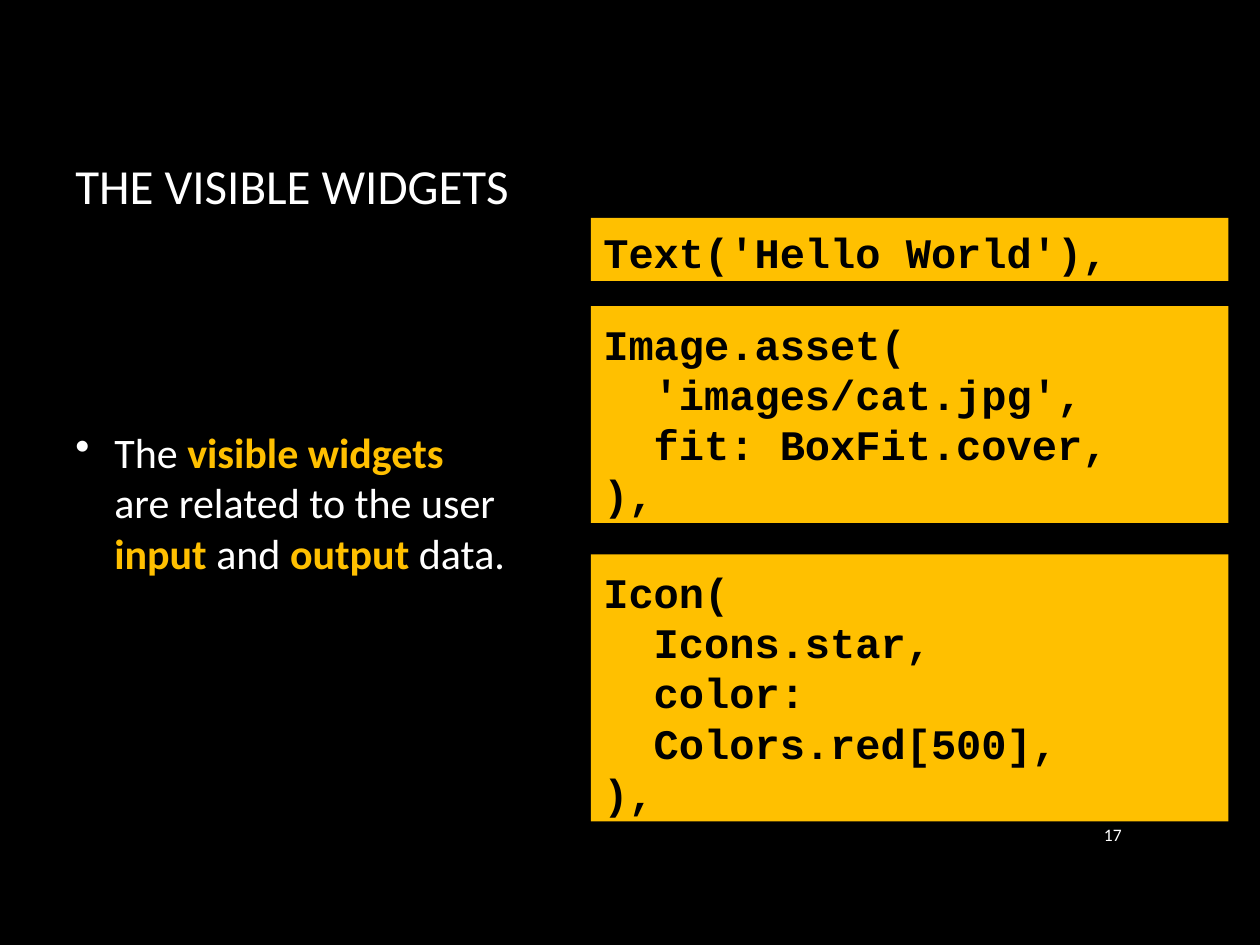
from lxml import etree
from pptx import Presentation
from pptx.dml.color import RGBColor
from pptx.enum import shapes, text
from pptx.oxml import ns
from pptx.util import Inches, Pt

BLACK = RGBColor(0x00, 0x00, 0x00)
WHITE = RGBColor(0xFF, 0xFF, 0xFF)
AMBER = RGBColor(0xFF, 0xC0, 0x00)

CODE_LEFT, CODE_WIDTH = 4.69, 5.06
SNIPPETS = [
    (1.73, 0.5, ["Text('Hello World'),"]),
    (2.43, 1.72, ["Image.asset(", "  'images/cat.jpg',",
                  "  fit: BoxFit.cover,", "),"]),
    (4.4, 2.12, ["Icon(", "  Icons.star,", "  color:",
                 "  Colors.red[500],", "),"]),
]


class SlideBuilder:
    """Holds the slide and the style its elements share."""
    body_font = "Calibri"
    code_font = "Courier New"
    body_size = 24

    def __init__(self, slide):
        self.slide = slide
        slide.background.fill.solid()
        slide.background.fill.fore_color.rgb = BLACK

    def style(self, font, size, color, name=body_font):
        font.name, font.size = name, Pt(size)
        font.color.rgb = color

    def frame(self, left, top, width, height):
        box = self.slide.shapes.add_textbox(
            Inches(left), Inches(top), Inches(width), Inches(height))
        box.text_frame.word_wrap = True
        box.text_frame.vertical_anchor = text.MSO_ANCHOR.MIDDLE
        return box.text_frame

    def label(self, content, area, size, align=text.PP_ALIGN.LEFT):
        line = self.frame(*area).paragraphs[0]
        line.text = content
        line.alignment = align
        self.style(line.font, size, WHITE)

    def bullet(self, lines, area, bottom_margin):
        """Write one bullet; each line is a list of (words, is_key) pairs."""
        frame = self.frame(*area)
        frame.margin_bottom = Inches(bottom_margin)
        item = frame.paragraphs[0]
        properties = item._p.get_or_add_pPr()
        properties.set("marL", str(Inches(0.31)))
        properties.set("indent", str(-Inches(0.31)))
        color = etree.SubElement(properties, ns.qn("a:buClr"))
        etree.SubElement(color, ns.qn("a:srgbClr"), val=str(WHITE))
        etree.SubElement(properties, ns.qn("a:buChar"), char="•")
        for number, line in enumerate(lines):
            if number:
                item.add_line_break()
            for words, is_key in line:
                run = item.add_run()
                run.text = words
                run.font.bold = is_key
                self.style(run.font, self.body_size, AMBER if is_key else WHITE)
        self.style(item.font, self.body_size, WHITE)

    def code(self, top, height, lines):
        panel = self.slide.shapes.add_shape(
            shapes.MSO_SHAPE.RECTANGLE, Inches(CODE_LEFT), Inches(top),
            Inches(CODE_WIDTH), Inches(height))
        panel.shadow.inherit = False
        panel.fill.solid()
        panel.fill.fore_color.rgb = AMBER
        panel.line.fill.background()
        frame = panel.text_frame
        frame.vertical_anchor = text.MSO_ANCHOR.BOTTOM
        frame.margin_bottom = Inches(0.03)
        frame.text = "\n".join(lines)
        for line in frame.paragraphs:
            line.alignment = text.PP_ALIGN.LEFT
            line.line_spacing = Pt(28.7)
            line.font.bold = True
            self.style(line.font, self.body_size, BLACK, self.code_font)


def main():
    deck = Presentation()
    deck.slide_width, deck.slide_height = Inches(10), Inches(7.5)
    builder = SlideBuilder(deck.slides.add_slide(deck.slide_layouts[6]))
    builder.label("THE VISIBLE WIDGETS", (0.5, 0.67, 8.5, 1.59), 28)
    builder.bullet([
        [("The ", False), ("visible widgets", True)],
        [("are related to the user", False)],
        [("input", True), (" and ", False), ("output", True), (" data.", False)],
    ], (0.5, 1.75, 3.63, 4.95), bottom_margin=0.53)
    builder.label("17", (8.54, 6.42, 0.46, 0.41), 10, text.PP_ALIGN.RIGHT)
    for top, height, lines in SNIPPETS:
        builder.code(top, height, lines)
    deck.save("out.pptx")


if __name__ == "__main__":
    main()
